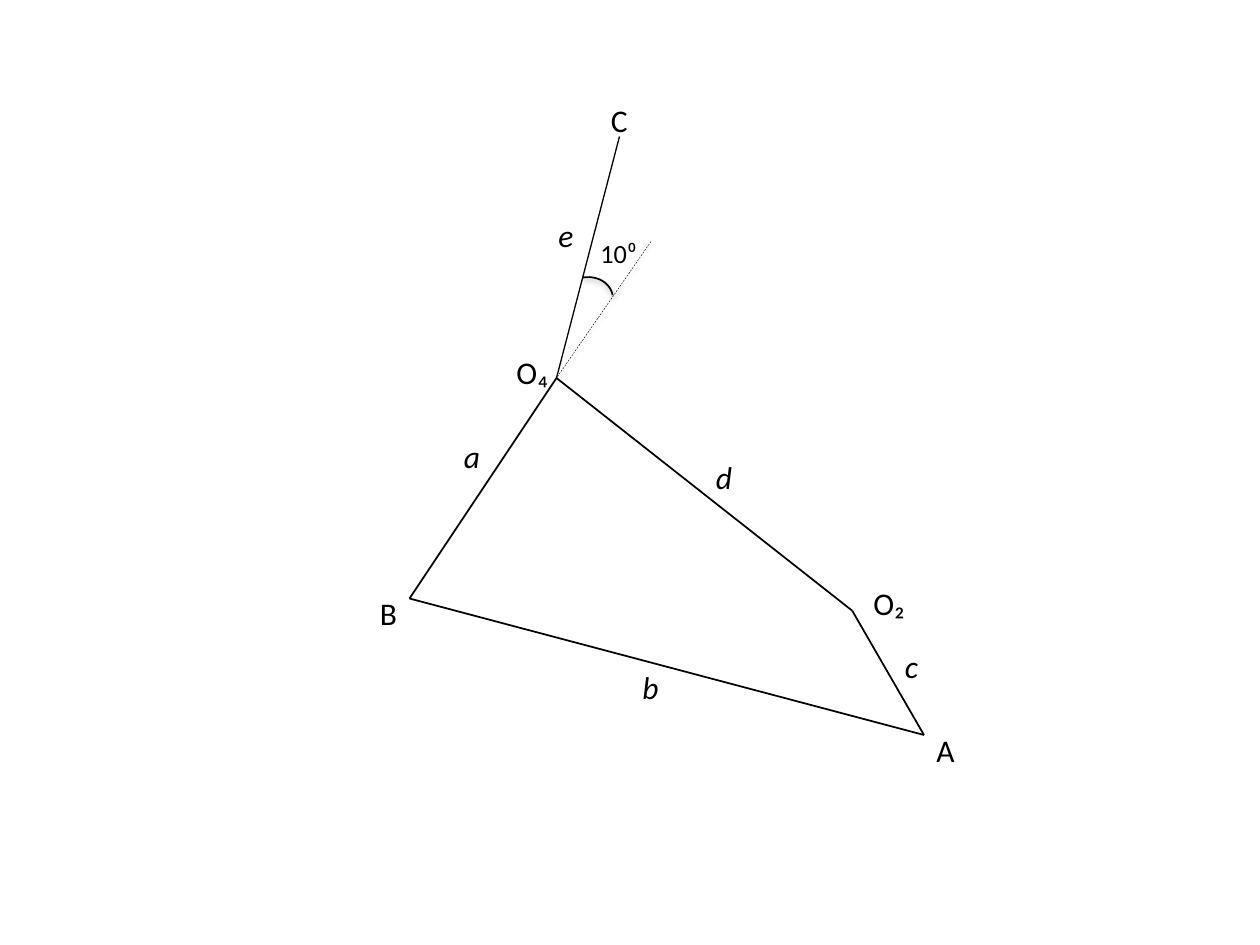
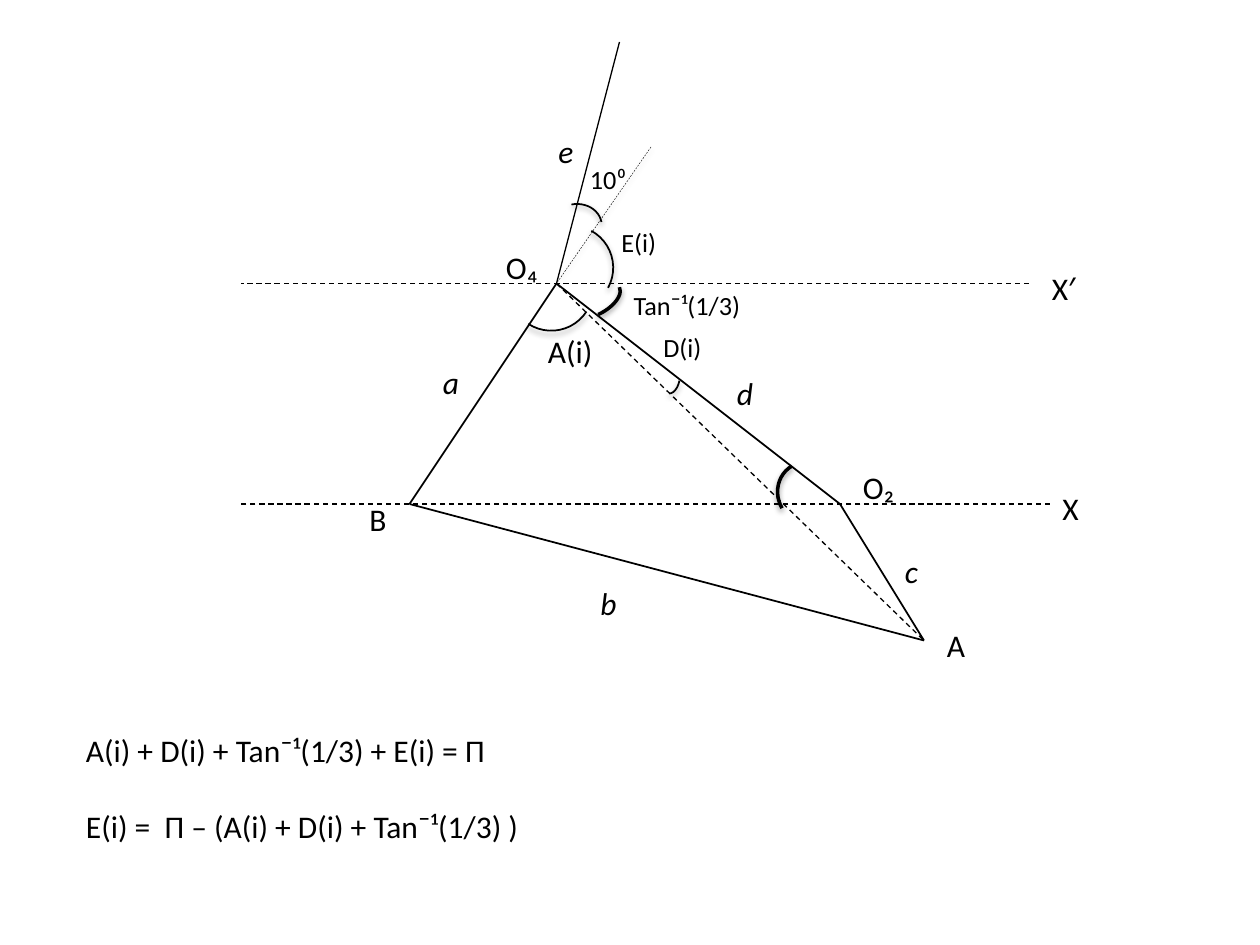
from lxml import etree
from pptx import Presentation
from pptx.dml.color import RGBColor
from pptx.enum import dml, shapes, text
from pptx.oxml import ns
from pptx.util import Pt

INK = RGBColor(0x00, 0x00, 0x00)
FONT = "Calibri"
LARGE, SMALL = 18, 15
BOX_HEIGHT = {LARGE: 29, SMALL: 25}
HAIRLINE, THIN, MEDIUM, THICK = 0.25, 0.75, 1, 2

# Shadows: opacity in percent, distance in points
SOFT, STRONG = (35, 1.8), (38, 1.6)
SHADOW_BLUR = 3.15

# Joints of the four-bar linkage; the second slide lifts them
LIFT = 54
JOINTS = {"A": (528, 420), "B": (234, 342), "O₂": (487, 349), "O₄": (318, 216),
          "C": (354, 78), "ray": (372, 138)}
LIFTED_JOINTS = {joint: (x, y - LIFT) for joint, (x, y) in JOINTS.items()}
LIFTED_JOINTS["O₂"] = (480, 288)

# Bars on both slides: start, end, weight, dashed, shadow
BARS = [
    ("B", "A", MEDIUM, False, None),
    ("A", "O₂", MEDIUM, False, None),
    ("B", "O₄", MEDIUM, False, None),
    ("O₄", "O₂", MEDIUM, False, None),
    ("ray", "O₄", HAIRLINE, True, STRONG),
    ("O₄", "C", THIN, False, None),
]

# Label box widths; bar names are italic
WIDTHS = {"A": 25, "B": 24.5, "C": 24.5, "O₂": 32.5, "O₄": 33,
          "a": 24, "b": 24.5, "c": 22.5, "d": 24.5, "e": 24,
          "10⁰": 36, "A(i)": 40, "D(i)": 37, "E(i)": 35,
          "Tan¯¹(1/3)": 76, "X′": 28, "X": 24}
BAR_NAMES = "abcde"
SMALL_LABELS = {"10⁰", "D(i)", "E(i)", "Tan¯¹(1/3)"}

LINKAGE = {
    "joints": JOINTS,
    "guides": [],
    "labels": {"B": (210, 336), "A": (528, 414), "O₂": (492, 330), "O₄": (288, 198),
               "a": (258, 246), "b": (360, 378), "c": (510, 366), "d": (402, 258),
               "e": (312, 120), "10⁰": (336, 132), "C": (342, 54)},
    # Arcs: left, top, width, height, rotation, weight, shadow
    "arcs": [(320.4, 158.4, 30, 26, 349.4, MEDIUM, SOFT)],
    "equations": [],
}

ANGLES = {
    "joints": LIFTED_JOINTS,
    "guides": [((588, 162), (138, 162)), ((600, 288), (138, 288)),
               (LIFTED_JOINTS["O₄"], LIFTED_JOINTS["A"])],
    "labels": {"B": (204, 282), "A": (534, 354), "O₂": (486, 264), "O₄": (282, 138),
               "a": (246, 204), "b": (336, 330), "c": (510, 312), "d": (414, 210),
               "e": (312, 72), "10⁰": (330, 90), "A(i)": (306, 186),
               "D(i)": (372, 186), "Tan¯¹(1/3)": (355, 162), "E(i)": (348, 126),
               "X′": (594, 150), "X": (600, 276)},
    "arcs": [
        (314, 116.6, 30, 26, 349.4, MEDIUM, SOFT),
        (291, 141, 48, 48, 123.1, MEDIUM, SOFT),
        (375.8, 212.4, 16.5, 8.6, 102, MEDIUM, SOFT),
        (443.5, 265, 36, 33.8, 239.9, THICK, STRONG),
        (329, 154, 18, 35.3, 64.8, THICK, STRONG),
        (302.4, 129, 48, 48, 28.6, MEDIUM, SOFT),
    ],
    "equations": ["A(i) + D(i) + Tan¯¹(1/3) + E(i) = Π",
                  "E(i) =  Π – (A(i) + D(i) + Tan¯¹(1/3) )"],
}
EQUATION_BOX = (42, 414, 265, 117)
EQUATION_GAP = 22


def style_stroke(stroke, weight, dashed=False, shadow=None):
    """Ink the outline and replace the theme shadow by the given one."""
    stroke.line.color.rgb = INK
    stroke.line.width = Pt(weight)
    if dashed:
        stroke.line.dash_style = dml.MSO_LINE.DASH
    effects = etree.SubElement(stroke.element.spPr, ns.qn("a:effectLst"))
    if shadow:
        opacity, distance = shadow
        outer = etree.SubElement(effects, ns.qn("a:outerShdw"), blurRad=str(Pt(SHADOW_BLUR)),
                                 dist=str(Pt(distance)), dir="5400000", rotWithShape="0")
        tint = etree.SubElement(outer, ns.qn("a:srgbClr"), val=str(INK))
        etree.SubElement(tint, ns.qn("a:alpha"), val=str(opacity * 1000))


def add_bar(slide, start, end, weight, dashed=False, shadow=None):
    ends = [Pt(value) for value in (*start, *end)]
    bar = slide.shapes.add_connector(shapes.MSO_CONNECTOR.STRAIGHT, *ends)
    style_stroke(bar, weight, dashed, shadow)


def add_arc(slide, left, top, width, height, rotation, weight, shadow):
    arc = slide.shapes.add_shape(shapes.MSO_SHAPE.ARC, Pt(left), Pt(top), Pt(width), Pt(height))
    arc.rotation = rotation
    arc.fill.background()
    style_stroke(arc, weight, shadow=shadow)


def add_text(slide, lines, box, size=LARGE, italic=False, gap=0):
    frame = slide.shapes.add_textbox(*(Pt(value) for value in box)).text_frame
    frame.word_wrap = False
    frame.auto_size = text.MSO_AUTO_SIZE.SHAPE_TO_FIT_TEXT
    for index, line in enumerate(lines):
        paragraph = frame.add_paragraph() if index else frame.paragraphs[0]
        paragraph.space_before = Pt(gap if index else 0)
        run = paragraph.add_run()
        run.text = line
        run.font.name, run.font.size = FONT, Pt(size)
        run.font.italic = italic
        run.font.color.rgb = INK


def draw_diagram(slide, diagram):
    # Bars and dashed guides
    joints = diagram["joints"]
    for start, end, *stroke in BARS:
        add_bar(slide, joints[start], joints[end], *stroke)
    for start, end in diagram["guides"]:
        add_bar(slide, start, end, THIN, dashed=True)
    # Angle arcs
    for arc in diagram["arcs"]:
        add_arc(slide, *arc)
    # Labels
    for label, (left, top) in diagram["labels"].items():
        size = SMALL if label in SMALL_LABELS else LARGE
        add_text(slide, [label], (left, top, WIDTHS[label], BOX_HEIGHT[size]),
                 size=size, italic=label in BAR_NAMES)
    # Equations
    if diagram["equations"]:
        add_text(slide, diagram["equations"], EQUATION_BOX, gap=EQUATION_GAP)


def main():
    deck = Presentation()
    deck.slide_width, deck.slide_height = Pt(720), Pt(540)
    blank = deck.slide_layouts[6]
    for diagram in (LINKAGE, ANGLES):
        draw_diagram(deck.slides.add_slide(blank), diagram)
    deck.save("out.pptx")


if __name__ == "__main__":
    main()
